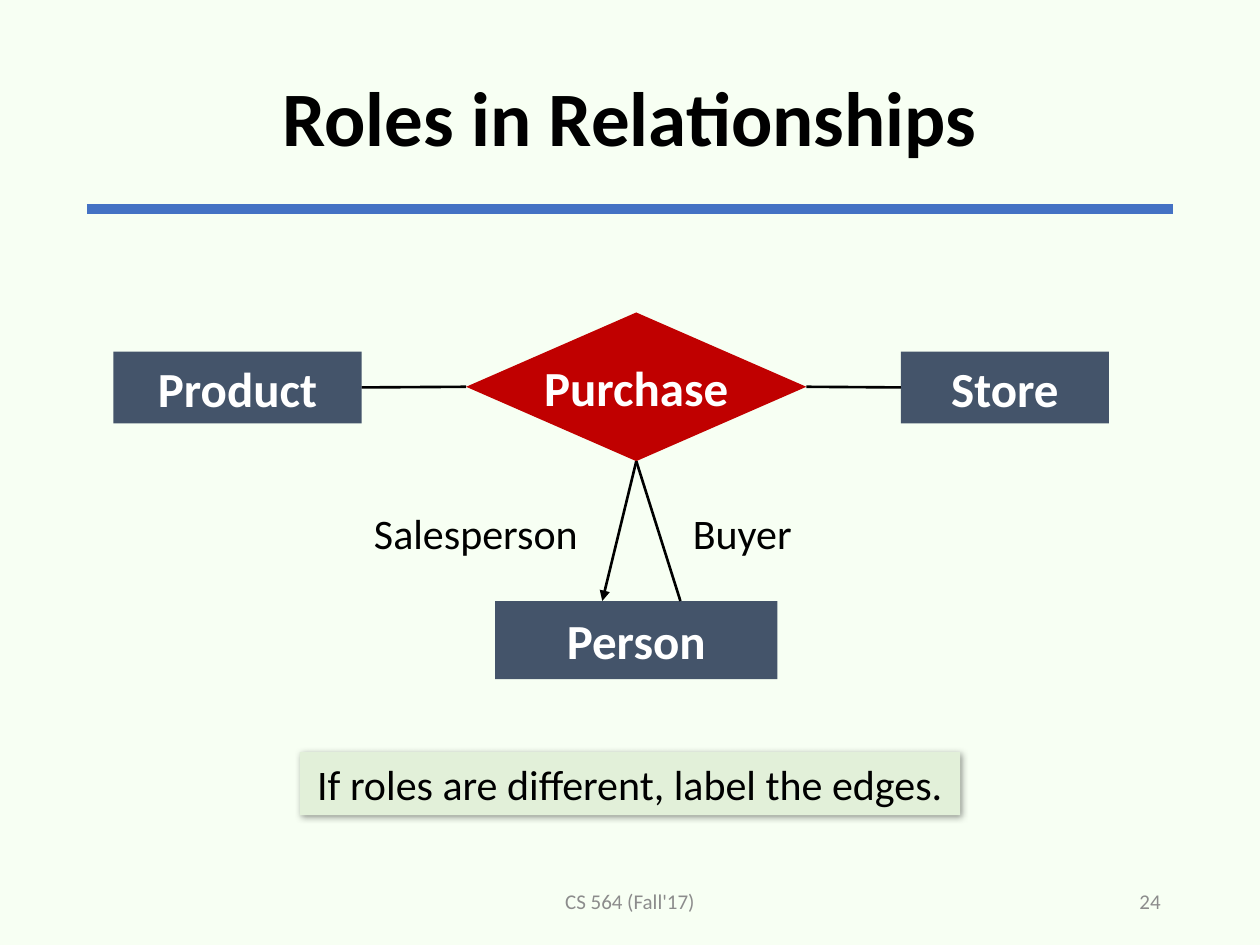
from collections import namedtuple

import pptx
import pptx.dml.color
import pptx.enum.shapes
import pptx.enum.text
import pptx.oxml
import pptx.oxml.ns
import pptx.util
from pptx.util import Inches

SHAPE = pptx.enum.shapes.MSO_SHAPE
ALIGN = pptx.enum.text.PP_ALIGN
ANCHOR = pptx.enum.text.MSO_ANCHOR
GROW = pptx.enum.text.MSO_AUTO_SIZE.SHAPE_TO_FIT_TEXT
TOP, LEFT, BOTTOM, RIGHT = range(4)

BLACK, WHITE, GREY = "000000", "FFFFFF", "8C8C8C"
PAPER, BLUE, SLATE, RED, PALE_GREEN = "F7FFF3", "4472C4", "44546A", "C00000", "E2F0D9"

Box = namedtuple("Box", "left top width height")


def color(hex_string):
    return pptx.dml.color.RGBColor.from_string(hex_string)


def within(box, left, top, width, height):
    """Box at an offset from the corner of another box."""
    return Box(box.left + Inches(left), box.top + Inches(top), Inches(width), Inches(height))


def apply(target, values):
    for attribute, value in values.items():
        setattr(target, attribute, value)


def add_xml(parent, tag, content=""):
    namespace = pptx.oxml.ns.nsdecls("a")
    parent.append(pptx.oxml.parse_xml(f"<a:{tag} {namespace}>{content}</a:{tag}>"))


def write(holder, text, size, ink=BLACK, bold=False, align=ALIGN.CENTER, **frame_format):
    frame = holder.text_frame
    frame.text = text
    apply(frame, {"word_wrap": True, "vertical_anchor": ANCHOR.MIDDLE, **frame_format})
    paragraph = frame.paragraphs[0]
    paragraph.alignment = align
    font = paragraph.runs[0].font
    apply(font, {"name": "Calibri", "size": pptx.util.Pt(size), "bold": bold})
    font.color.rgb = color(ink)
    return paragraph


def add_filled(slide, box, geometry, fill):
    shape = slide.shapes.add_shape(geometry, *box)
    shape.shadow.inherit = False
    shape.fill.solid()
    shape.fill.fore_color.rgb = color(fill)
    shape.line.fill.background()
    return shape


def add_line(slide, start, end, ink=BLACK, width=1.5, arrow=False):
    straight = pptx.enum.shapes.MSO_CONNECTOR.STRAIGHT
    line = slide.shapes.add_connector(straight, *start, *end)
    line.line.color.rgb = color(ink)
    line.line.width = pptx.util.Pt(width)
    if arrow:
        add_xml(line.line._get_or_add_ln(), 'tailEnd type="triangle"'.split()[0])
        line.line._get_or_add_ln()[-1].set("type", "triangle")
    add_xml(line._element.spPr, "effectLst")
    return line


def add_node(slide, box, name, geometry=SHAPE.RECTANGLE, fill=SLATE):
    node = add_filled(slide, box, geometry, fill)
    write(node, name, 28, WHITE, bold=True, word_wrap=False)
    return node


def add_heading(slide, box, text):
    title = slide.shapes.title
    apply(title, box._asdict())
    write(title, text, 44, bold=True).line_spacing = 0.9
    rule_y = box.top + Inches(1.42)
    add_line(slide, (box.left, rule_y), (box.left + box.width, rule_y), BLUE, 6)


def add_relationship_diagram(slide, box):
    product = add_node(slide, within(box, 0, 0.31, 1.97, 0.57), "Product")
    person = add_node(slide, within(box, 3.03, 2.29, 2.24, 0.62), "Person")
    store = add_node(slide, within(box, 6.25, 0.31, 1.65, 0.57), "Store")
    purchase = add_node(slide, within(box, 2.8, 0, 2.7, 1.18), "Purchase", SHAPE.DIAMOND, RED)

    for entity, entity_side, purchase_side in ((product, RIGHT, LEFT), (store, LEFT, RIGHT)):
        edge = add_line(slide, (0, 0), (0, 0))
        edge.begin_connect(purchase, purchase_side)
        edge.end_connect(entity, entity_side)

    roles = (("Salesperson", 1.97, 1.83, 3.88, True), ("Buyer", 4.5, 1.03, 4.5, False))
    for role, label_left, label_width, edge_end, arrow in roles:
        foot = (box.left + Inches(edge_end), person.top)
        edge = add_line(slide, foot, foot, arrow=arrow)
        edge.begin_connect(purchase, BOTTOM)
        label = slide.shapes.add_textbox(*within(box, label_left, 1.5, label_width, 0.5))
        write(label, role, 24, align=ALIGN.LEFT, word_wrap=False,
              vertical_anchor=ANCHOR.TOP, auto_size=GROW)


def add_note(slide, box, text):
    note = add_filled(slide, box, SHAPE.RECTANGLE, PALE_GREEN)
    write(note, text, 24, vertical_anchor=ANCHOR.TOP, auto_size=GROW)
    effects = note._element.spPr.find(pptx.oxml.ns.qn("a:effectLst"))
    add_xml(effects, "outerShdw",
            f'<a:srgbClr val="{BLACK}"><a:alpha val="40000"/></a:srgbClr>')
    shadow = {"blurRad": pptx.util.Pt(4), "dist": pptx.util.Pt(1), "dir": 45 * 60000,
              "algn": "tl", "rotWithShape": 0}
    for attribute, value in shadow.items():
        effects[0].set(attribute, str(value))


def add_footer(slide, box, course, number):
    parts = ((course, 2.62, 3.38, ALIGN.CENTER), (number, 6.37, 2.25, ALIGN.RIGHT))
    for text, left, width, align in parts:
        holder = slide.shapes.add_textbox(*within(box, left, 0, width, 0.4))
        write(holder, text, 12, GREY, align=align)


def main():
    deck = pptx.Presentation()
    apply(deck, {"slide_width": Inches(10), "slide_height": Inches(7.5)})
    slide = deck.slides.add_slide(deck.slide_layouts[5])
    slide.background.fill.solid()
    slide.background.fill.fore_color.rgb = color(PAPER)

    page = Box(0, 0, deck.slide_width, deck.slide_height)
    add_heading(slide, within(page, 0.69, 0.24, 8.62, 1.45), "Roles in Relationships")
    add_relationship_diagram(slide, within(page, 0.9, 2.48, 7.9, 2.91))
    add_note(slide, within(page, 2.38, 5.97, 5.24, 0.5),
             "If roles are different, label the edges.")
    add_footer(slide, within(page, 0.69, 6.95, 8.62, 0.4), "CS 564 (Fall'17)", "24")
    deck.save("out.pptx")


if __name__ == "__main__":
    main()
